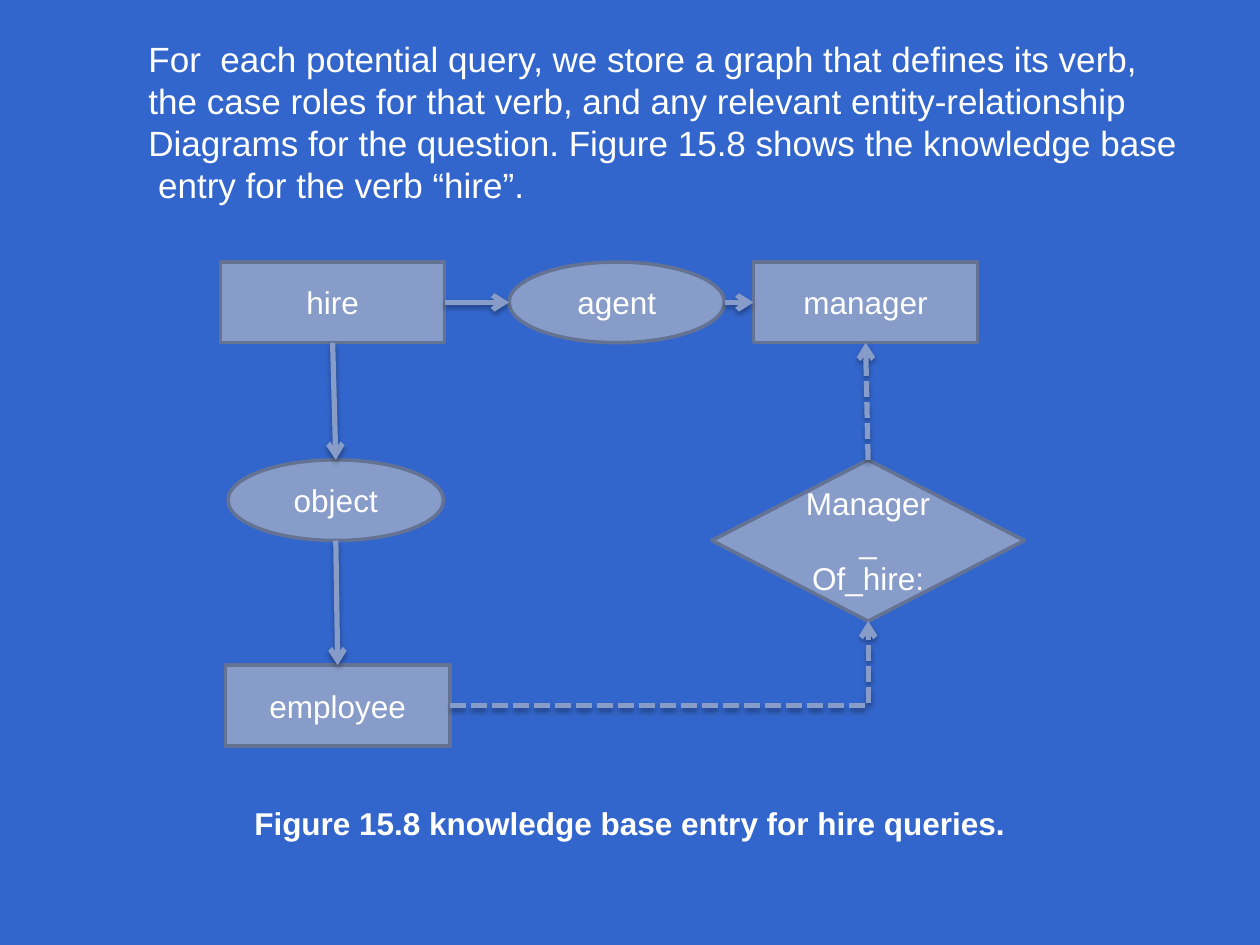
from lxml.etree import SubElement
from pptx import Presentation
from pptx.dml.color import RGBColor
from pptx.enum.dml import MSO_LINE
from pptx.enum.shapes import MSO_CONNECTOR, MSO_SHAPE
from pptx.enum.text import MSO_ANCHOR, MSO_AUTO_SIZE, PP_ALIGN
from pptx.oxml.ns import qn
from pptx.util import Pt

COLORS = {
    "background": "3366CC",
    "node": "879CC8",
    "outline": "647394",
    "text": "FFFFFF",
    "shadow": "000000",
}
RECT_SIZE = (128.16, 46.08)
OVAL_SIZE = (123.12, 46.08)
DIAMOND_SIZE = (178.56, 92.16)
TOP_ROW = 149.76
MIDDLE_ROW = 262.8
BOTTOM_ROW = 380.16
TOP, LEFT, BOTTOM, RIGHT = range(4)

INTRO = [
    "For  each potential query, we store a graph that defines its verb,",
    "the case roles for that verb, and any relevant entity-relationship",
    "Diagrams for the question. Figure 15.8 shows the knowledge base",
    " entry for the verb “hire”.",
]
CAPTION = ["Figure 15.8 knowledge base entry for hire queries."]


def color(name):
    return RGBColor.from_string(COLORS[name])


def write_lines(frame, lines, size, align, bold=False):
    frame.text = "\n".join(lines)
    for paragraph in frame.paragraphs:
        paragraph.alignment = align
        for run in paragraph.runs:
            run.font.name = "Arial"
            run.font.size = Pt(size)
            run.font.bold = bold
            run.font.color.rgb = color("text")


def add_text(slide, lines, left, top, width, height, size, bold=False):
    box = slide.shapes.add_textbox(Pt(left), Pt(top), Pt(width), Pt(height))
    box.text_frame.word_wrap = False
    box.text_frame.auto_size = MSO_AUTO_SIZE.SHAPE_TO_FIT_TEXT
    write_lines(box.text_frame, lines, size, PP_ALIGN.LEFT, bold)


def add_node(slide, kind, lines, left, top, size):
    node = slide.shapes.add_shape(kind, Pt(left), Pt(top), *map(Pt, size))
    node.shadow.inherit = False
    node.fill.solid()
    node.fill.fore_color.rgb = color("node")
    node.line.color.rgb = color("outline")
    node.line.width = Pt(2)
    node.text_frame.vertical_anchor = MSO_ANCHOR.MIDDLE
    write_lines(node.text_frame, lines, 18, PP_ALIGN.CENTER)
    return node


def side_point(node, side):
    across = {LEFT: 0, RIGHT: node.width}.get(side, node.width // 2)
    down = {TOP: 0, BOTTOM: node.height}.get(side, node.height // 2)
    return node.left + across, node.top + down


def add_shadow(arrow):
    effects = SubElement(arrow._element.spPr, qn("a:effectLst"))
    shadow = SubElement(
        effects, qn("a:outerShdw"), blurRad=str(Pt(3.1)), dist=str(Pt(1.8)),
        dir="5400000", rotWithShape="0",
    )
    tint = SubElement(shadow, qn("a:srgbClr"), val=COLORS["shadow"])
    SubElement(tint, qn("a:alpha"), val="35000")


def add_arrow(slide, source, source_side, target, target_side, dashed=False, bent=False):
    kind = MSO_CONNECTOR.ELBOW if bent else MSO_CONNECTOR.STRAIGHT
    arrow = slide.shapes.add_connector(
        kind, *side_point(source, source_side), *side_point(target, target_side)
    )
    if bent:
        arrow._element.spPr.find(qn("a:prstGeom")).set("prst", "bentConnector2")
    else:
        if source.auto_shape_type != MSO_SHAPE.OVAL:
            arrow.begin_connect(source, source_side)
        if target.auto_shape_type != MSO_SHAPE.OVAL:
            arrow.end_connect(target, target_side)
    arrow.line.color.rgb = color("node")
    arrow.line.width = Pt(3)
    if dashed:
        arrow.line.dash_style = MSO_LINE.SQUARE_DOT
    SubElement(arrow.line._get_or_add_ln(), qn("a:tailEnd"), type="arrow")
    add_shadow(arrow)


def main():
    deck = Presentation()
    deck.slide_width, deck.slide_height = Pt(720), Pt(540)
    slide = deck.slides.add_slide(deck.slide_layouts[6])
    slide.background.fill.solid()
    slide.background.fill.fore_color.rgb = color("background")

    rect, oval = MSO_SHAPE.RECTANGLE, MSO_SHAPE.OVAL
    hire = add_node(slide, rect, ["hire"], 126, TOP_ROW, RECT_SIZE)
    employee = add_node(slide, rect, ["employee"], 128.88, BOTTOM_ROW, RECT_SIZE)
    manager = add_node(slide, rect, ["manager"], 430.56, TOP_ROW, RECT_SIZE)
    agent = add_node(slide, oval, ["agent"], 290.88, TOP_ROW, OVAL_SIZE)
    case_object = add_node(slide, oval, ["object"], 130.32, MIDDLE_ROW, OVAL_SIZE)
    manager_of_hire = add_node(
        slide, MSO_SHAPE.DIAMOND, ["Manager_", "Of_hire:"], 406.8, MIDDLE_ROW, DIAMOND_SIZE
    )

    add_arrow(slide, hire, RIGHT, agent, LEFT)
    add_arrow(slide, agent, RIGHT, manager, LEFT)
    add_arrow(slide, hire, BOTTOM, case_object, TOP)
    add_arrow(slide, case_object, BOTTOM, employee, TOP)
    add_arrow(slide, employee, RIGHT, manager_of_hire, BOTTOM, dashed=True, bent=True)
    add_arrow(slide, manager_of_hire, TOP, manager, BOTTOM, dashed=True)

    add_text(slide, CAPTION, 138.24, 455.76, 447.84, 28.8, 18, bold=True)
    add_text(slide, INTRO, 77.76, 18, 606.96, 104.4, 20)
    deck.save("out.pptx")


if __name__ == "__main__":
    main()
